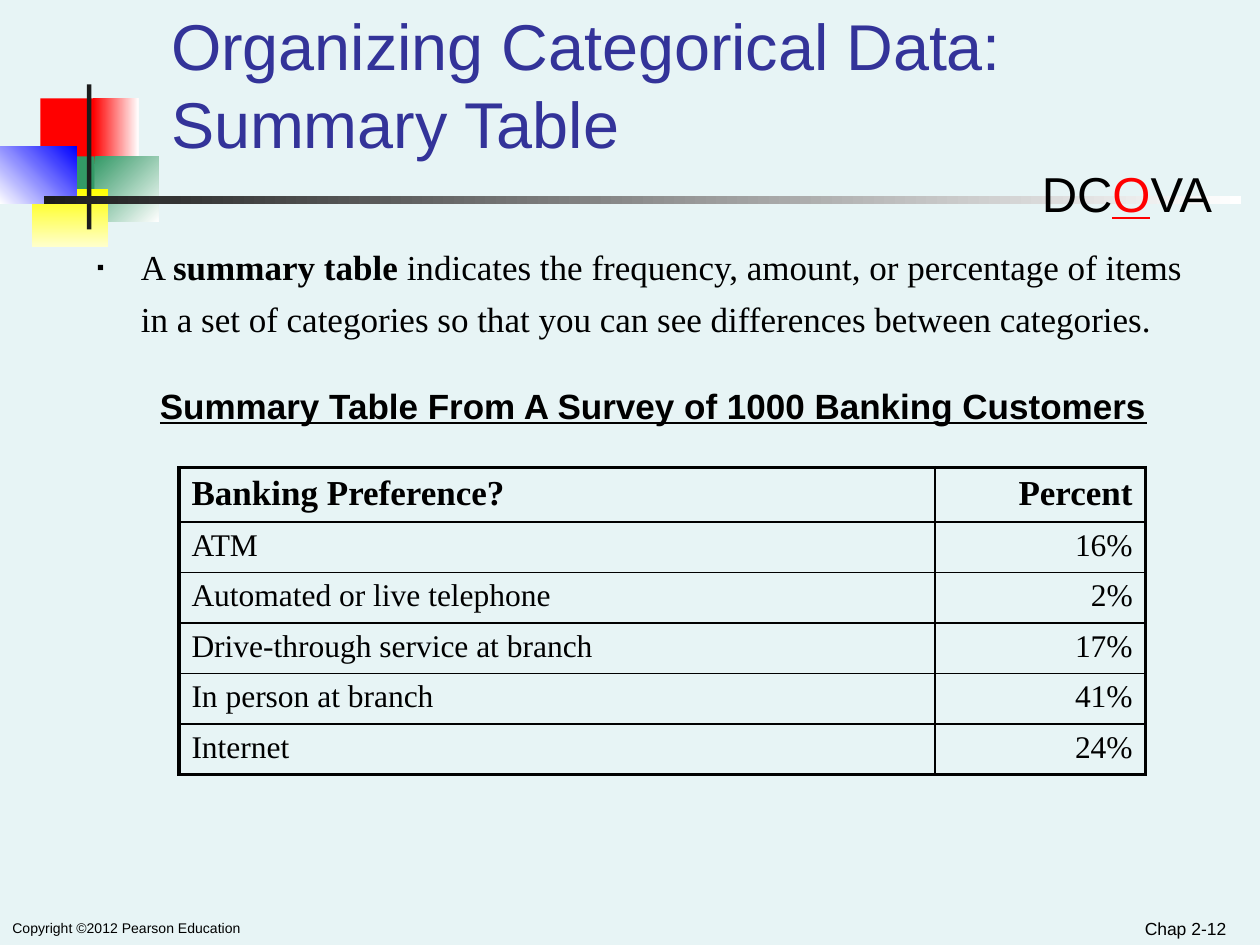
from lxml import etree
from pptx import Presentation
from pptx.dml.color import RGBColor
from pptx.enum.shapes import MSO_SHAPE
from pptx.enum.text import MSO_ANCHOR, PP_ALIGN
from pptx.oxml.ns import qn
from pptx.util import Inches, Pt

RECTANGLE = MSO_SHAPE.RECTANGLE
TOP, BOTTOM = MSO_ANCHOR.TOP, MSO_ANCHOR.BOTTOM
LEFT, RIGHT = PP_ALIGN.LEFT, PP_ALIGN.RIGHT

BACKGROUND = RGBColor(0xE7, 0xF4, 0xF5)
BLACK = RGBColor(0, 0, 0)
CHARCOAL = RGBColor(0x1C, 0x1C, 0x1C)
WHITE = RGBColor(0xFF, 0xFF, 0xFF)
RED = RGBColor(0xFF, 0, 0)
GREEN = RGBColor(0x33, 0x99, 0x66)
YELLOW = RGBColor(0xFF, 0xFF, 0)
CREAM = RGBColor(0xFF, 0xFF, 0xCC)
BLUE = RGBColor(0, 0, 0xFF)
INDIGO = RGBColor(0x33, 0x33, 0x99)

COLUMNS, ROWS = 100, 75
SANS, SERIF = "Arial", "Times New Roman"
OUTER_BORDER, INNER_BORDER = 2.25, 1

# Column, row, width, height, colours (one is solid, two a gradient), clockwise angle
ORNAMENT = [
    (3.2, 7.8, 4.8, 5.2, (RED,), 0),
    (7.4, 7.8, 3.6, 5.2, (RED, WHITE), 0),
    (7.5, 12.4, 5.1, 5.2, (GREEN, WHITE), 45),
    (4.3, 12.4, 3.2, 5.2, (GREEN,), 0),
    (2.5, 15, 6.1, 4.6, (YELLOW, CREAM), 90),
    (0, 11.6, 6.1, 4.6, (WHITE, BLUE), 315),
    (6.9, 6.7, 0.35, 11.5, (CHARCOAL,), 0),
    (3.5, 15.6, 95, 0.6, (CHARCOAL, WHITE), 0),
]
PREFERENCES = [
    ("Banking Preference?", "Percent"),
    ("ATM", "16%"),
    ("Automated or live telephone", "2%"),
    ("Drive-through service at branch", "17%"),
    ("In person at branch", "41%"),
    ("Internet", "24%"),
]


class SlideBuilder:
    def __init__(self, presentation):
        self.column = presentation.slide_width / COLUMNS
        self.row = presentation.slide_height / ROWS
        self.slide = presentation.slides.add_slide(presentation.slide_layouts[6])
        self.slide.background.fill.solid()
        self.slide.background.fill.fore_color.rgb = BACKGROUND

    def place(self, column, row, width, height):
        """Turn grid units into slide lengths."""
        return (round(column * self.column), round(row * self.row),
                round(width * self.column), round(height * self.row))

    def block(self, column, row, width, height, colours, angle):
        shape = self.slide.shapes.add_shape(
            RECTANGLE, *self.place(column, row, width, height))
        shape.shadow.inherit = False
        shape.line.fill.background()
        if len(colours) == 1:
            shape.fill.solid()
            shape.fill.fore_color.rgb = colours[0]
            return
        shape.fill.gradient()
        shape.fill.gradient_angle = -angle % 360
        for stop, colour in zip(shape.fill.gradient_stops, colours):
            stop.color.rgb = colour

    def add_runs(self, paragraph, runs, align=LEFT, colour=BLACK, **style):
        """Add (text, changes) runs, each varying the shared style."""
        paragraph.alignment = align
        for text, changes in runs:
            run = paragraph.add_run()
            run.text = text
            look = {**style, "colour": colour, **changes}
            run.font.color.rgb = look.pop("colour")
            for attribute, value in look.items():
                setattr(run.font, attribute, value)

    def text(self, area, runs, anchor=TOP, wrap=True, **style):
        frame = self.slide.shapes.add_textbox(*self.place(*area)).text_frame
        frame.word_wrap = wrap
        frame.vertical_anchor = anchor
        self.add_runs(frame.paragraphs[0], runs, **style)
        return frame.paragraphs[0]

    def bullet(self, area, runs, **style):
        paragraph = self.text(area, runs, **style)
        properties = paragraph._p.get_or_add_pPr()
        properties.set("marL", str(Inches(0.35)))
        properties.set("indent", str(-Inches(0.35)))
        for tag, attribute, value in (("a:buSzPct", "val", "60000"),
                                      ("a:buFont", "typeface", SANS),
                                      ("a:buChar", "char", "▪")):
            etree.SubElement(properties, qn(tag)).set(attribute, value)
        paragraph.line_spacing = 1.22

    def border(self, cell, widths):
        properties = cell._tc.get_or_add_tcPr()
        for side, width in zip("LRTB", widths):
            line = etree.SubElement(properties, qn(f"a:ln{side}"), w=str(Pt(width)))
            fill = etree.SubElement(line, qn("a:solidFill"))
            etree.SubElement(fill, qn("a:srgbClr"), val=str(BLACK))

    def table(self, column, row, widths, heights, records):
        last_row, last_column = len(heights) - 1, len(widths) - 1
        area = self.place(column, row, sum(widths), sum(heights))
        table = self.slide.shapes.add_table(
            len(heights), len(widths), *area).table
        table.first_row = table.horz_banding = False
        for table_column, width in zip(table.columns, widths):
            table_column.width = round(width * self.column)
        for r, record in enumerate(records):
            table.rows[r].height = round(heights[r] * self.row)
            for c, value in enumerate(record):
                cell = table.cell(r, c)
                edges = (c == 0, c == last_column, r == 0, r == last_row)
                self.border(cell, [OUTER_BORDER if edge else INNER_BORDER
                                   for edge in edges])
                cell.fill.background()
                self.add_runs(cell.text_frame.paragraphs[0], [(value, {})],
                              align=RIGHT if c else LEFT, name=SERIF,
                              size=Pt(18 if r else 20), bold=r == 0)


def main():
    presentation = Presentation()
    presentation.slide_width, presentation.slide_height = Inches(10), Inches(7.5)
    page = SlideBuilder(presentation)

    for piece in ORNAMENT:
        page.block(*piece)

    page.text((0, 72.5, 56.7, 2.5), [("Copyright ©2012 Pearson Education", {})],
              name=SANS, size=Pt(8))
    page.text((75, 71.5, 23.3, 3.5), [("Chap 2-12", {})], anchor=BOTTOM,
              align=RIGHT, name=SANS, size=Pt(10))
    page.text((12.6, 2.5, 80.7, 10.8),
              [("Organizing Categorical Data: Summary Table", {})],
              anchor=BOTTOM, name=SANS, size=Pt(37), colour=INDIGO)
    page.bullet((6.7, 18.3, 88.3, 8.3),
                [("A ", {}), ("summary table", {"bold": True}),
                 (" indicates the frequency, amount, or percentage of items in a "
                  "set of categories so that you can see differences between "
                  "categories.", {})],
                name=SERIF, size=Pt(20))
    page.table(14.2, 37.1, (60, 16.7), (4.1,) + (3.8,) * 5, PREFERENCES)
    page.text((81.7, 12.5, 15.7, 5.7),
              [("DC", {}), ("O", {"colour": RED, "underline": True}), ("VA", {})],
              wrap=False, name=SANS, size=Pt(28))
    page.text((11.7, 30, 80.9, 4.4),
              [("Summary Table From A Survey of 1000 Banking Customers", {})],
              wrap=False, name=SANS, size=Pt(20), bold=True, underline=True)

    presentation.save("out.pptx")


if __name__ == "__main__":
    main()
